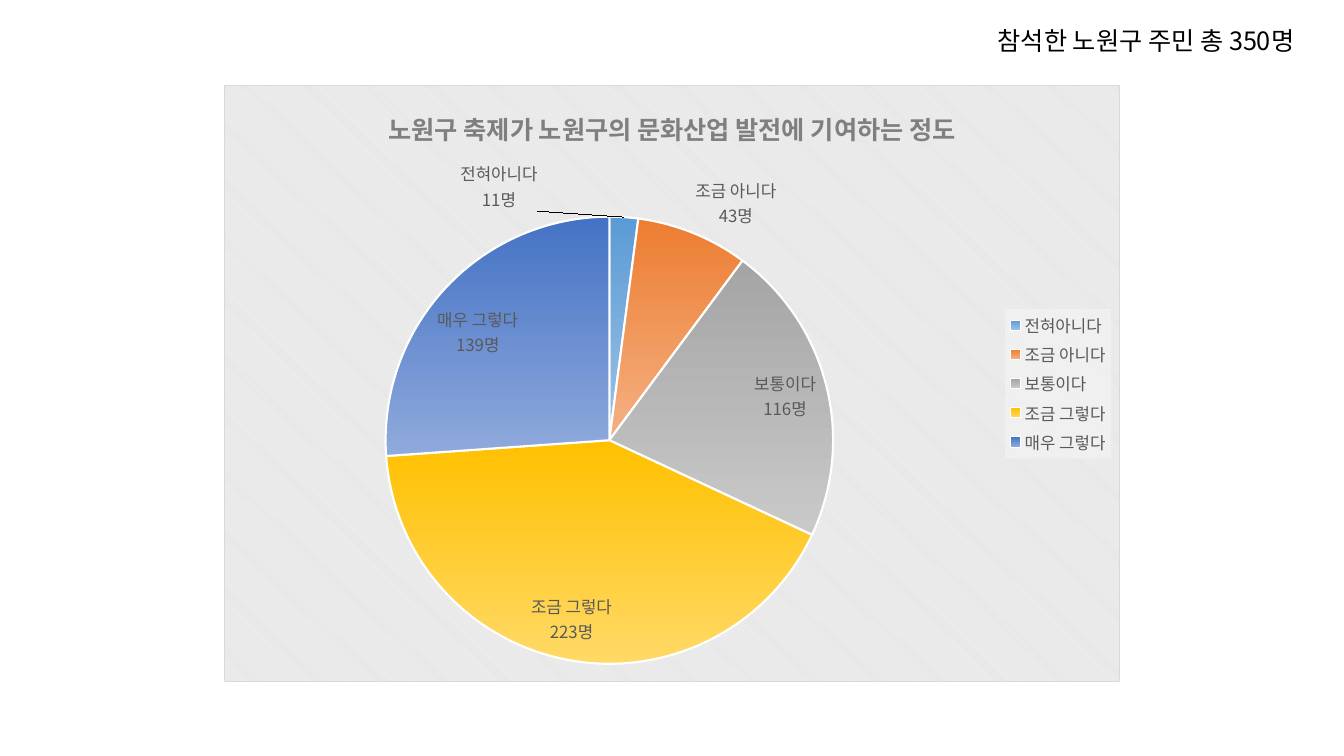
from copy import deepcopy

from lxml import etree
from pptx import Presentation
from pptx import util as u
from pptx.chart import data as chart_data
from pptx.dml.color import RGBColor
from pptx.enum import chart as kinds
from pptx.oxml import parse_xml
from pptx.oxml import ns

WIDTH, HEIGHT = u.Inches(13.33), u.Inches(7.5)
FONT = "Noto Sans CJK KR"
BLACK = RGBColor(0x00, 0x00, 0x00)
WHITE = RGBColor(0xFF, 0xFF, 0xFF)
TITLE_GRAY = RGBColor(0x7F, 0x7F, 0x7F)
TEXT_GRAY = RGBColor(0x59, 0x59, 0x59)
BACK_GRAY = RGBColor(0xE6, 0xE6, 0xE6)
BORDER_GRAY = RGBColor(0xD9, 0xD9, 0xD9)
LEGEND_GRAY = RGBColor(0xF2, 0xF2, 0xF2)

# Answer, number of people, top and bottom colour of the slice
ANSWERS = [
    ("전혀아니다", 11, RGBColor(0x5B, 0x9B, 0xD5), RGBColor(0x9D, 0xC3, 0xE6)),
    ("조금 아니다", 43, RGBColor(0xED, 0x7D, 0x31), RGBColor(0xF4, 0xB1, 0x83)),
    ("보통이다", 116, RGBColor(0xA5, 0xA5, 0xA5), RGBColor(0xC9, 0xC9, 0xC9)),
    ("조금 그렇다", 223, RGBColor(0xFF, 0xC0, 0x00), RGBColor(0xFF, 0xD9, 0x66)),
    ("매우 그렇다", 139, RGBColor(0x44, 0x72, 0xC4), RGBColor(0x8F, 0xAA, 0xDC)),
]


def style_font(font, size, color, bold=False):
    font.name, font.size, font.bold = FONT, u.Pt(size), bold
    font.color.rgb = color


def shape_properties(content):
    return parse_xml(f'<c:spPr {ns.nsdecls("c", "a")}>{content}</c:spPr>')


def manual_layout(**places):
    """Layout element with the given children, as shares of the chart."""
    layout = etree.Element(ns.qn("c:layout"))
    manual = etree.SubElement(layout, ns.qn("c:manualLayout"))
    for name, value in places.items():
        etree.SubElement(manual, ns.qn(f"c:{name}")).set("val", str(value))
    return layout


def add_note(slide, text):
    box = slide.shapes.add_textbox(
        int(WIDTH * 0.735), int(HEIGHT * 0.027), int(WIDTH * 0.2625), int(HEIGHT * 0.053))
    box.text_frame.word_wrap = False
    para = box.text_frame.paragraphs[0]
    para.text = text
    style_font(para.runs[0].font, 18, BLACK)


def add_pie(slide, title):
    values = chart_data.CategoryChartData(number_format='0"명"')
    values.categories = [answer[0] for answer in ANSWERS]
    values.add_series("Series 1", [answer[1] for answer in ANSWERS])
    # Centred on the slide, two thirds of its width
    side, top = WIDTH // 6, int(HEIGHT * 0.1125)
    chart = slide.shapes.add_chart(
        kinds.XL_CHART_TYPE.PIE, side, top, WIDTH - 2 * side,
        int(HEIGHT * 0.79), values).chart
    style_font(chart.font, 10, BLACK)

    chart.has_title = True
    para = chart.chart_title.text_frame.paragraphs[0]
    para.text = title
    style_font(para.runs[0].font, 18, TITLE_GRAY, bold=True)
    return chart


def style_slices(series):
    for number, (_, _, upper, lower) in enumerate(ANSWERS):
        look = series.points[number].format
        look.fill.gradient()
        look.fill.gradient_angle = 270
        for stop, color, position in zip(look.fill.gradient_stops, (upper, lower), (0, 1)):
            stop.color.rgb, stop.position = color, position
        look.line.color.rgb = WHITE
        look.line.width = u.Pt(1.5)


def label_slices(series):
    labels = series.data_labels
    labels.show_category_name = labels.show_value = True
    labels.show_percentage = False
    labels.number_format, labels.number_format_is_linked = '0"명"', False
    labels.position = kinds.XL_LABEL_POSITION.BEST_FIT
    style_font(labels.font, 12, TEXT_GRAY)
    element = series._element.find(ns.qn("c:dLbls"))
    separator = etree.Element(ns.qn("c:separator"))
    separator.text = "\n"
    element.find(ns.qn("c:showBubbleSize")).addnext(separator)

    # The narrow first slice has its label moved to the left
    first = etree.Element(ns.qn("c:dLbl"))
    etree.SubElement(first, ns.qn("c:idx")).set("val", "0")
    first.append(manual_layout(x=-0.14, y=0))
    first.extend(deepcopy(child) for child in element
                 if child.tag != ns.qn("c:showLeaderLines"))
    element.insert(0, first)


def add_legend(chart):
    chart.has_legend = True
    legend = chart.legend
    legend.position = kinds.XL_LEGEND_POSITION.RIGHT
    legend.include_in_layout = False
    style_font(legend.font, 12, TEXT_GRAY)
    legend._element.find(ns.qn("c:overlay")).addnext(shape_properties(
        f'<a:solidFill><a:srgbClr val="{LEGEND_GRAY}"><a:alpha val="78000"/>'
        '</a:srgbClr></a:solidFill>'))


def style_background(chart):
    space = chart._chartSpace
    space.find(ns.qn("c:chart")).addnext(shape_properties(
        f'<a:pattFill prst="dkDnDiag"><a:fgClr><a:srgbClr val="{WHITE}"/></a:fgClr>'
        f'<a:bgClr><a:srgbClr val="{BACK_GRAY}"/></a:bgClr></a:pattFill>'
        f'<a:ln w="{u.Pt(0.75)}"><a:solidFill><a:srgbClr val="{BORDER_GRAY}"/>'
        '</a:solidFill></a:ln>'))


def place_pie(chart):
    area = chart._chartSpace.find(f'.//{ns.qn("c:plotArea")}')
    for layout in area.findall(ns.qn("c:layout")):
        area.remove(layout)
    area.insert(0, manual_layout(layoutTarget="inner", xMode="edge", yMode="edge",
                                 x=0.18, y=0.22, w=0.5, h=0.75))


def main():
    deck = Presentation()
    deck.slide_width, deck.slide_height = WIDTH, HEIGHT
    slide = deck.slides.add_slide(deck.slide_layouts[6])

    # Survey chart
    chart = add_pie(slide, "노원구 축제가 노원구의 문화산업 발전에 기여하는 정도")
    series = chart.plots[0].series[0]
    style_slices(series)
    label_slices(series)
    add_legend(chart)
    style_background(chart)
    place_pie(chart)

    # Number of people asked
    add_note(slide, "참석한 노원구 주민 총 350명")
    deck.save("out.pptx")


if __name__ == "__main__":
    main()
